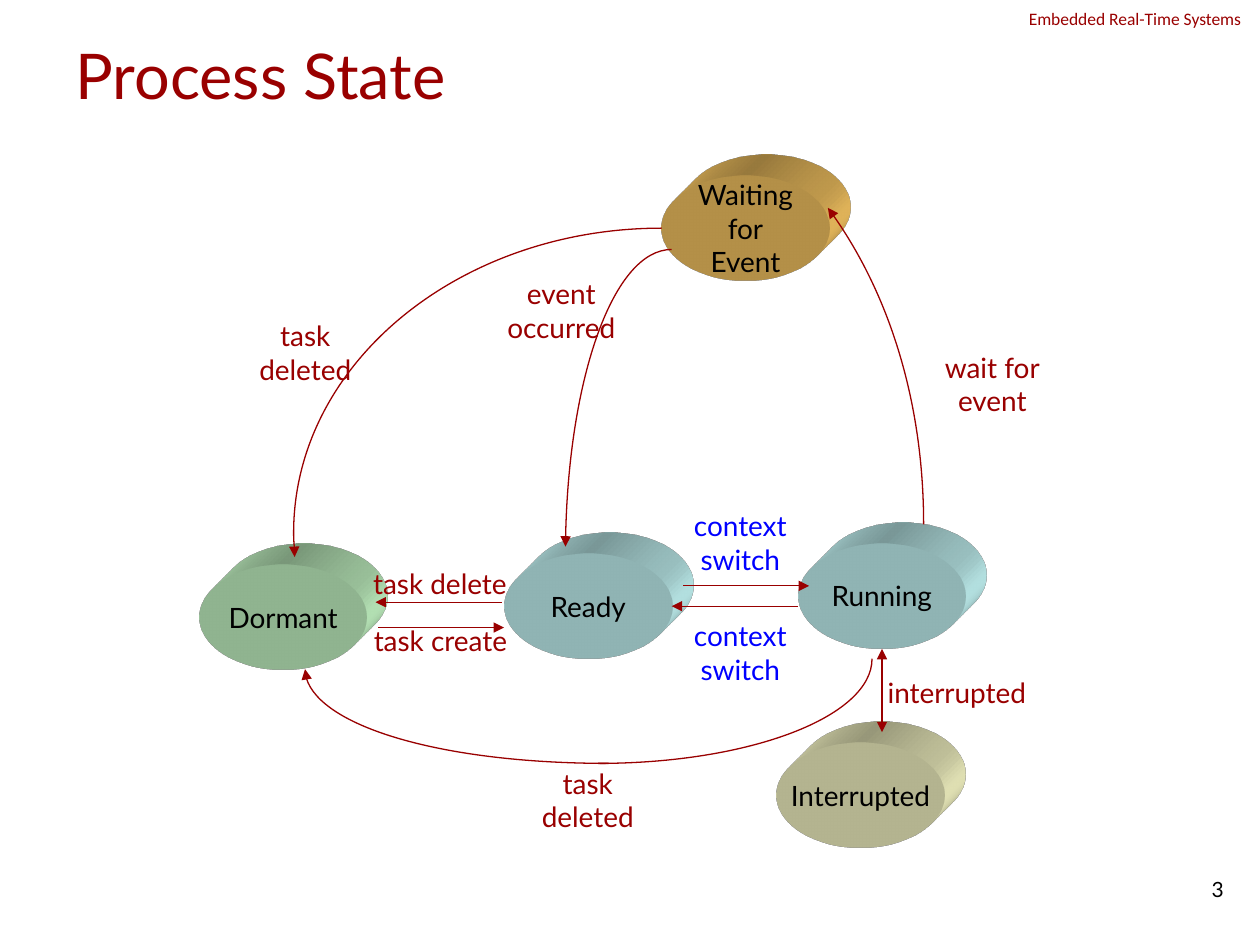
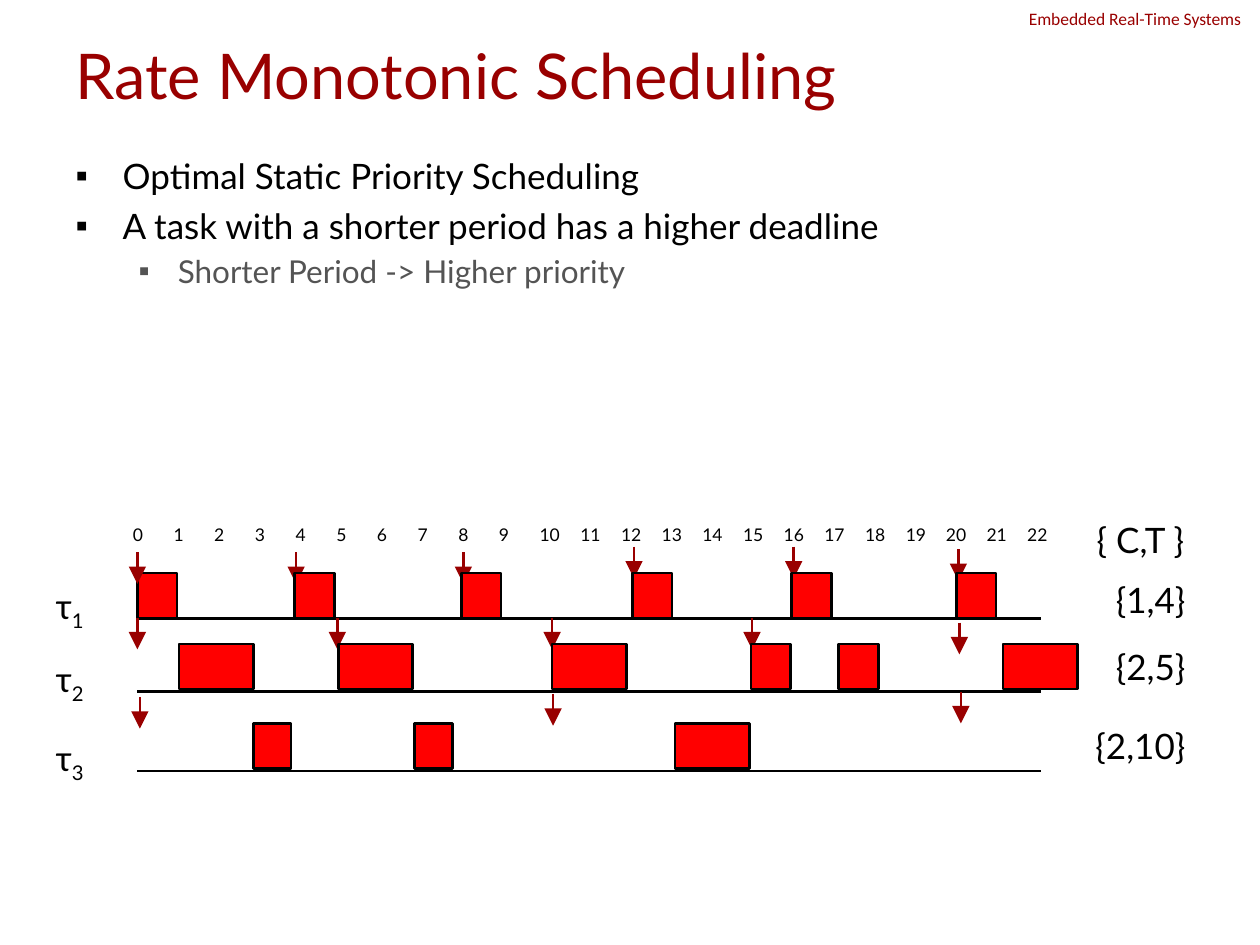
from copy import deepcopy

from lxml import etree
from pptx import Presentation
from pptx.dml.color import RGBColor
from pptx.enum.shapes import MSO_CONNECTOR, MSO_SHAPE
from pptx.enum.text import MSO_ANCHOR, MSO_AUTO_SIZE, PP_ALIGN
from pptx.oxml import parse_xml
from pptx.oxml.ns import nsdecls, qn
from pptx.util import Cm, Pt

STRAIGHT = MSO_CONNECTOR.STRAIGHT
ELLIPSE, RECTANGLE = MSO_SHAPE.OVAL, MSO_SHAPE.RECTANGLE
LEFT, CENTER, RIGHT = PP_ALIGN.LEFT, PP_ALIGN.CENTER, PP_ALIGN.RIGHT
TOP, MIDDLE = MSO_ANCHOR.TOP, MSO_ANCHOR.MIDDLE
NO_AUTOFIT = MSO_AUTO_SIZE.NONE

BLACK = RGBColor(0x00, 0x00, 0x00)
GRAY = RGBColor(0x54, 0x54, 0x54)
MAROON = RGBColor(0x99, 0x00, 0x00)
BLUE = RGBColor(0x00, 0x00, 0xFF)
RED = RGBColor(0xFF, 0x00, 0x00)
AMBER = RGBColor(0xFF, 0xCC, 0x66)
GREEN = RGBColor(0xCC, 0xFF, 0xCC)
CYAN = RGBColor(0xCC, 0xFF, 0xFF)
CREAM = RGBColor(0xFF, 0xFF, 0xCC)

TITLE_ONLY, TITLE_AND_CONTENT = 5, 1


def write(frame, text, size=16, color=BLACK, font="Lato", align=LEFT,
          anchor=TOP, wrap=True, subscript=""):
    """Fill a text frame, one paragraph per line of text."""
    frame.word_wrap = wrap
    frame.auto_size = NO_AUTOFIT
    frame.vertical_anchor = anchor
    for number, line in enumerate(text.split("\n")):
        paragraph = frame.add_paragraph() if number else frame.paragraphs[0]
        paragraph.alignment = align
        for part in filter(None, (line, subscript)):
            run = paragraph.add_run()
            run.text = part
            run.font.name = font
            run.font.size = Pt(size)
            run.font.color.rgb = color
        if subscript:
            run.font._element.set("baseline", "-25000")


class Deck:
    def __init__(self):
        self.presentation = Presentation()
        self.presentation.slide_width = Cm(25.4)
        self.presentation.slide_height = Cm(19.05)
        self.slide = None
        self.header_done = False

    def add_slide(self, layout, title):
        self.slide = self.presentation.slides.add_slide(self.presentation.slide_layouts[layout])
        if not self.header_done:
            self.add_master_header()
        placeholder = self.slide.shapes.title
        self.place(placeholder, 1.27, 0.76, 22.86, 1.47)
        write(placeholder.text_frame, title, size=36, color=MAROON, anchor=MIDDLE)

    def add_master_header(self):
        header = self.text("Embedded Real-Time Systems", 20.49, 0.03, 5.77, 0.69,
                           size=10, color=MAROON, font="Calibri")
        self.presentation.slide_master.shapes.element.append(header.element)
        self.header_done = True

    def place(self, shape, left, top, width, height):
        shape.left, shape.top = Cm(left), Cm(top)
        shape.width, shape.height = Cm(width), Cm(height)

    def text(self, text, left, top, width, height, **style):
        box = self.slide.shapes.add_textbox(Cm(left), Cm(top), Cm(width), Cm(height))
        write(box.text_frame, text, **style)
        return box

    def bullets(self, items):
        """Fill the body placeholder with (level, text) items."""
        levels = ((20, BLACK, 0.95, 0.95, 4.5), (18, GRAY, 2.06, 0.79, 3.4))
        body = self.slide.placeholders[1]
        self.place(body, 1.27, 2.98, 22.86, 14.02)
        frame = body.text_frame
        write(frame, "\n".join(text for _, text in items))
        for paragraph, (level, _) in zip(frame.paragraphs, items):
            size, color, margin, hanging, space = levels[level]
            paragraph.level = level
            paragraph.space_before = Pt(space)
            font = paragraph.runs[0].font
            font.size, font.color.rgb = Pt(size), color
            properties = paragraph._p.get_or_add_pPr()
            properties.set("marL", str(Cm(margin)))
            properties.set("indent", str(-Cm(hanging)))
            etree.SubElement(properties, qn("a:buChar")).set("char", "▪")

    def shape(self, kind, left, top, width, height, fill):
        shape = self.slide.shapes.add_shape(kind, Cm(left), Cm(top), Cm(width), Cm(height))
        shape.shadow.inherit = False
        shape.fill.solid()
        shape.fill.fore_color.rgb = fill
        return shape

    def state(self, name, left, top, fill):
        """Add an ellipse extruded to the upper right."""
        shape = self.shape(ELLIPSE, left, top, 3.38, 2.12, fill)
        shape.line.fill.background()
        write(shape.text_frame, name, align=CENTER, anchor=MIDDLE, wrap=False)
        properties = shape.element.spPr
        properties.append(parse_xml(
            f'<a:scene3d {nsdecls("a")}><a:camera prst="legacyObliqueTopRight"/>'
            '<a:lightRig rig="legacyFlat3" dir="b"/></a:scene3d>'))
        properties.append(parse_xml(
            f'<a:sp3d {nsdecls("a")} extrusionH="430200" prstMaterial="legacyMatte">'
            '<a:bevelT w="13500" h="13500" prst="angle"/>'
            '<a:bevelB w="13500" h="13500" prst="angle"/>'
            f'<a:extrusionClr><a:srgbClr val="{fill}"/></a:extrusionClr></a:sp3d>'))

    def job(self, left, top, width):
        block = self.shape(RECTANGLE, left, top, width, 0.91, RED)
        self.style_line(block, BLACK, 1.5)

    def style_line(self, shape, color, width, ends=(), head_size="med"):
        shape.line.color.rgb = color
        shape.line.width = Pt(width)
        outline = shape.element.spPr.find(qn("a:ln"))
        for end in ends:
            arrowhead = etree.SubElement(outline, qn(f"a:{end}"))
            arrowhead.set("type", "triangle")
            arrowhead.set("w", head_size)
            arrowhead.set("len", head_size)

    def line(self, start, end, color=MAROON, width=0.75, ends=("tailEnd",), head_size="med"):
        connector = self.slide.shapes.add_connector(
            STRAIGHT, Cm(start[0]), Cm(start[1]), Cm(end[0]), Cm(end[1]))
        self.style_line(connector, color, width, ends, head_size)
        etree.SubElement(connector.element.spPr, qn("a:effectLst"))

    def curve(self, points, center, ends=("tailEnd",)):
        """Draw joined cubic curves, with an unstroked sector closed at the center."""
        start, *others = [(Cm(x), Cm(y)) for x, y in (*points, center)]
        builder = self.slide.shapes.build_freeform(*start)
        builder.add_line_segments(others, close=False)
        shape = builder.convert_to_shape()
        shape.shadow.inherit = False
        shape.fill.background()
        self.style_line(shape, MAROON, 0.75, ends)

        arc = shape.element.spPr.find(f".//{qn('a:path')}")
        *controls, center_segment = arc.findall(qn("a:lnTo"))
        arc.remove(center_segment)
        for first in range(0, len(controls), 3):
            cubic = etree.SubElement(arc, qn("a:cubicBezTo"))
            for segment in controls[first:first + 3]:
                cubic.append(segment[0])
                arc.remove(segment)
        sector = deepcopy(arc)
        sector.set("stroke", "0")
        sector.append(center_segment)
        etree.SubElement(sector, qn("a:close"))
        arc.addnext(sector)


def build_process_state(deck):
    deck.add_slide(TITLE_ONLY, "Process State")
    deck.text("3", 19, 17.42, 5.92, 1.02, size=12, align=RIGHT, anchor=MIDDLE)

    for state in (("Waiting\nfor\nEvent", 13.34, 3.54, AMBER),
                  ("Dormant", 4.02, 11.38, GREEN),
                  ("Ready", 10.17, 11.16, CYAN),
                  ("Running", 16.09, 10.95, CYAN),
                  ("Interrupted", 15.66, 14.97, CREAM)):
        deck.state(*state)

    deck.curve(((17.58, 13.28), (17.58, 14.45), (15.11, 15.39), (12.06, 15.39)),
               (12.06, 13.28), ends=())
    for points, center in (
            (((12.27, 15.39), (8.89, 15.39), (6.15, 14.55), (6.15, 13.49)), (12.27, 13.49)),
            (((13.34, 4.6), (9.25, 4.6), (5.92, 7.34), (5.92, 10.74),
              (5.92, 10.9), (5.94, 11.05), (5.94, 11.23)), (13.34, 10.74)),
            (((13.54, 5.03), (12.37, 5.03), (11.43, 7.7), (11.4, 11.02)), (13.54, 11.18)),
            (((18.62, 10.57), (18.62, 8.15), (17.91, 5.84), (16.69, 4.19)), (12.47, 10.57))):
        deck.curve(points, center)

    for start, end in (((16.08, 12.22), (13.54, 12.22)),
                       ((13.77, 11.81), (16.31, 11.81)),
                       ((7.62, 12.65), (10.16, 12.65)),
                       ((10.11, 12.14), (7.57, 12.14))):
        deck.line(start, end)
    deck.line((17.78, 13.08), (17.78, 14.76), ends=("headEnd", "tailEnd"))

    for text, left, top, width in (("interrupted", 17.55, 13.49, 3.48),
                                   ("task create", 7.19, 12.44, 3.38),
                                   ("task delete", 7.17, 11.29, 3.4)):
        deck.text(text, left, top, width, 0.94, color=MAROON, align=CENTER, wrap=False)
    for text, left, top, width, color in (
            ("task\ndeleted", 4.9, 6.3, 2.51, MAROON),
            ("task deleted", 10.16, 15.32, 3.38, MAROON),
            ("event\noccurred", 9.31, 5.46, 4.01, MAROON),
            ("wait for\nevent", 18, 6.94, 4.01, MAROON),
            ("context switch", 12.92, 12.35, 4.01, BLUE),
            ("context switch", 12.92, 10.13, 4.01, BLUE)):
        deck.text(text, left, top, width, 1.63, color=color, align=CENTER)


def build_rate_monotonic(deck):
    deck.add_slide(TITLE_AND_CONTENT, "Rate Monotonic Scheduling")
    deck.bullets(((0, "Optimal Static Priority Scheduling"),
                  (0, "A task with a shorter period has a higher deadline"),
                  (1, "Shorter Period -> Higher priority")))

    for tick in range(23):
        label, shift = (f" {tick}", 0.1) if tick >= 20 else (str(tick), 0)
        deck.text(label, 2.43 + 0.82 * tick - shift, 10.44, 1.1, 0.69, size=10)
    deck.text("{ C,T }", 21.62, 10.32, 2.74, 1.12, size=20, align=CENTER)

    short, medium, long = 0.76, 0.8, 1.5
    # Each task: parameters and their top, axis height, job top,
    # jobs (left, width), releases (x, top)
    tasks = (
        ("{1,4}", 11.54, 12.47, 11.55,
         [(left, medium) for left in (2.77, 5.94, 9.3, 12.75, 15.96, 19.28)],
         ((2.77, 11.13), (5.97, 11.13), (9.34, 11.13),
          (12.78, 11.02), (16, 11.02), (19.32, 11.07))),
        ("{2,5}", 12.88, 13.94, 12.98,
         [(3.61, long), (6.82, long), (11.13, long),
          (15.14, medium), (16.91, medium), (20.22, long)],
         ((2.77, 12.45), (6.8, 12.45), (11.13, 12.45), (15.16, 12.45), (19.34, 12.55))),
        ("{2,10}", 14.48, 15.54, 14.58,
         [(5.11, short), (8.36, short), (13.61, long)],
         ((2.82, 14.05), (11.15, 13.99), (19.37, 13.94))),
    )
    for number, task in enumerate(tasks, 1):
        parameters, label_top, axis, job_top, jobs, releases = task
        deck.line((2.77, axis), (20.98, axis), color=BLACK, width=1.5, ends=())
        deck.text("τ", 0.87, axis - 0.81, 1.17, 1.12, size=20, subscript=str(number))
        deck.text(parameters, 21.41, label_top, 2.74, 1.12, size=20, align=RIGHT)
        first_job, *later_jobs = jobs
        deck.job(first_job[0], job_top, first_job[1])
        for x, top in releases:
            deck.line((x, top), (x, top + 0.64), width=1.5, head_size="lg")
        for left, width in later_jobs:
            deck.job(left, job_top, width)


def main():
    deck = Deck()
    build_process_state(deck)
    build_rate_monotonic(deck)
    deck.presentation.save("out.pptx")


if __name__ == "__main__":
    main()
